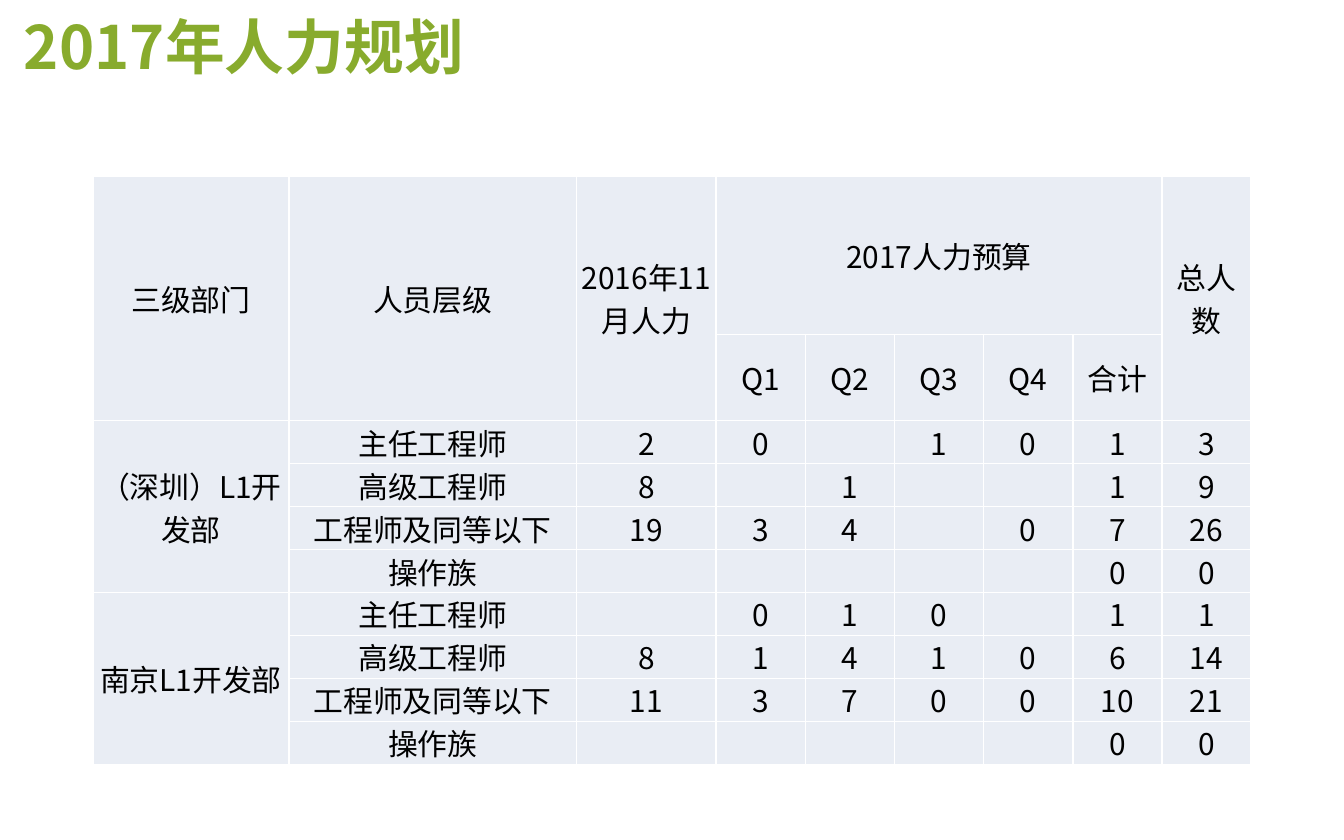
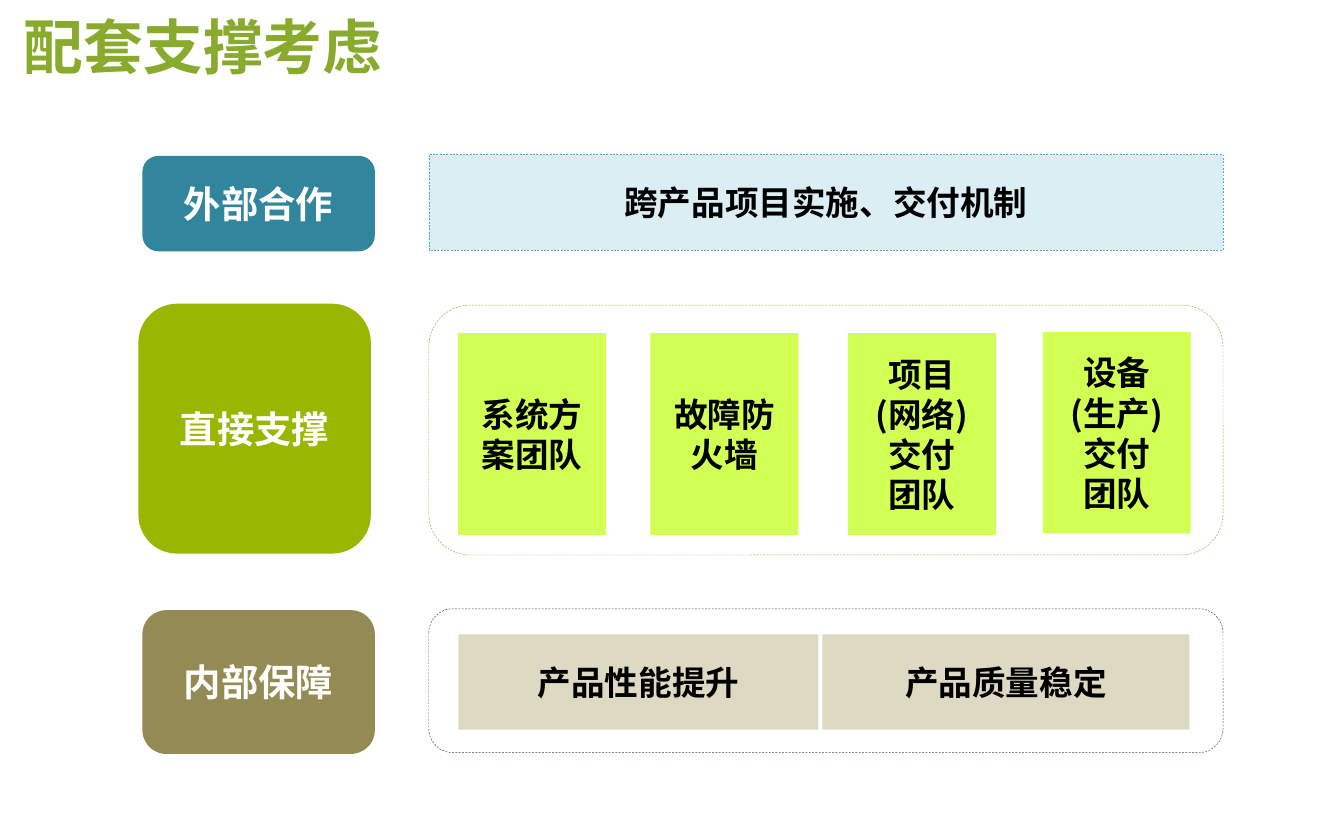
from lxml import etree
from pptx import Presentation
from pptx.dml.color import RGBColor
from pptx.enum.dml import MSO_LINE
from pptx.enum.shapes import MSO_SHAPE
from pptx.enum.text import MSO_ANCHOR, PP_ALIGN
from pptx.oxml.ns import qn
from pptx.util import Inches, Pt

RECT, ROUNDED = MSO_SHAPE.RECTANGLE, MSO_SHAPE.ROUNDED_RECTANGLE
MIDDLE, CENTER, DASH = MSO_ANCHOR.MIDDLE, PP_ALIGN.CENTER, MSO_LINE.DASH

FONT = "Noto Sans CJK SC"
BLACK = RGBColor(0x00, 0x00, 0x00)
WHITE = RGBColor(0xFF, 0xFF, 0xFF)
TITLE_GREEN = RGBColor(0x88, 0xAB, 0x2D)
CELL_FILL = RGBColor(0xE9, 0xED, 0xF4)
TEAL = RGBColor(0x31, 0x85, 0x9C)
TEAL_PALE = RGBColor(0xDB, 0xEE, 0xF4)
TEAL_LINE = RGBColor(0x4B, 0xAC, 0xC6)
GREEN = RGBColor(0x99, 0xB7, 0x01)
LIME = RGBColor(0xD2, 0xFF, 0x53)
OLIVE = RGBColor(0x94, 0x8A, 0x54)
SAND = RGBColor(0xDD, 0xD9, 0xC3)
OLIVE_LINE = RGBColor(0x4A, 0x45, 0x2A)

NUMBER_COLUMNS_WIDTH = 3.98
COLUMN_WIDTHS = [1.46, 2.14, 1.04] + [NUMBER_COLUMNS_WIDTH / 6] * 6
ROW_HEIGHTS = [1.18, 0.64] + [0.32] * 8
HEADCOUNT = [
    ["三级部门", "人员层级", "2016年11月人力", "2017人力预算", "", "", "", "", "总人数"],
    ["", "", "", "Q1", "Q2", "Q3", "Q4", "合计", ""],
    ["（深圳）L1开发部", "主任工程师", "2", "0", "", "1", "0", "1", "3"],
    ["", "高级工程师", "8", "", "1", "", "", "1", "9"],
    ["", "工程师及同等以下", "19", "3", "4", "", "0", "7", "26"],
    ["", "操作族", "", "", "", "", "", "0", "0"],
    ["南京L1开发部", "主任工程师", "", "0", "1", "0", "", "1", "1"],
    ["", "高级工程师", "8", "1", "4", "1", "0", "6", "14"],
    ["", "工程师及同等以下", "11", "3", "7", "0", "0", "10", "21"],
    ["", "操作族", "", "", "", "", "", "0", "0"],
]
# First and last cell of each merged block, as (row, column)
MERGES = [((0, col), (1, col)) for col in (0, 1, 2, 8)]
MERGES += [((0, 3), (0, 7)), ((2, 0), (5, 0)), ((6, 0), (9, 0))]

# Offset from the left and top of the region, then the team
TEAMS = [
    (2.35, 0.22, "系统方案团队"),
    (3.78, 0.22, "故障防火墙"),
    (5.25, 0.22, "项目\n(网络)\n交付\n团队"),
    (6.7, 0.21, "设备\n(生产)\n交付\n团队"),
]


def write(frame, text, size, color, bold=True, align=CENTER):
    frame.text = text
    frame.word_wrap = True
    frame.vertical_anchor = MIDDLE
    for paragraph in frame.paragraphs:
        paragraph.alignment = align
        for run in paragraph.runs:
            font = run.font
            font.size, font.bold, font.name = Pt(size), bold, FONT
            font.color.rgb = color
            etree.SubElement(run._r.get_or_add_rPr(), qn("a:ea"), typeface=FONT)


def add_title(slide, text):
    title = slide.shapes.add_textbox(Inches(0.08), Inches(0.08), Inches(6.5), Inches(0.52))
    write(title.text_frame, text, 32, TITLE_GREEN, align=PP_ALIGN.LEFT)


def add_block(slide, kind, box, text="", fill=None, line=None, size=18, color=BLACK):
    """Add a shape in box (left, top, width, height); line gives a thin dashed edge."""
    block = slide.shapes.add_shape(kind, *map(Inches, box))
    block.shadow.inherit = False
    if fill is None:
        block.fill.background()
    else:
        block.fill.solid()
        block.fill.fore_color.rgb = fill
    if line is None:
        block.line.fill.background()
    else:
        block.line.color.rgb = line
        block.line.width = Pt(0.25)
        block.line.dash_style = DASH
    if text:
        write(block.text_frame, text, size, color)


def add_category(slide, box, text, fill):
    add_block(slide, ROUNDED, box, text, fill, size=20, color=WHITE)


def style_cell(cell, text):
    cell.margin_left = cell.margin_right = cell.margin_top = cell.margin_bottom = 0
    write(cell.text_frame, text, 16, BLACK, bold=False)
    cell.vertical_anchor = MIDDLE
    if not text:
        # An empty cell keeps the text size of the others, so its row does not grow
        etree.SubElement(cell.text_frame.paragraphs[0]._p, qn("a:endParaRPr"), sz="1600")
    properties = cell._tc.get_or_add_tcPr()
    for side in ("a:lnL", "a:lnR", "a:lnT", "a:lnB"):
        border = etree.SubElement(properties, qn(side), w=str(Pt(1)))
        paint = etree.SubElement(border, qn("a:solidFill"))
        etree.SubElement(paint, qn("a:srgbClr"), val=str(WHITE))
    cell.fill.solid()
    cell.fill.fore_color.rgb = CELL_FILL


def add_headcount_table(slide, left, top):
    table = slide.shapes.add_table(
        len(ROW_HEIGHTS), len(COLUMN_WIDTHS), Inches(left), Inches(top),
        Inches(sum(COLUMN_WIDTHS)), Inches(sum(ROW_HEIGHTS))).table
    table.first_row = table.horz_banding = False
    for column, width in zip(table.columns, COLUMN_WIDTHS):
        column.width = Inches(width)
    for row, height, texts in zip(table.rows, ROW_HEIGHTS, HEADCOUNT):
        row.height = Inches(height)
        for cell, text in zip(row.cells, texts):
            style_cell(cell, text)
    for first, last in MERGES:
        table.cell(*first).merge(table.cell(*last))


def add_cooperation(slide, left, top, width, height):
    add_category(slide, (left, top + 0.01, 1.73, height), "外部合作", TEAL)
    add_block(slide, RECT, (left + 2.13, top, width - 2.13, height),
              "跨产品项目实施、交付机制", TEAL_PALE, TEAL_LINE)


def add_direct_support(slide, left, top, width, height):
    add_category(slide, (left - 0.03, top, 1.73, height), "直接支撑", GREEN)
    add_block(slide, ROUNDED, (left + 2.13, top + 0.01, width - 2.13, height), line=TITLE_GREEN)
    for across, down, team in TEAMS:
        add_block(slide, RECT, (left + across, top + down, 1.1, 1.5), team, LIME)


def add_internal_assurance(slide, left, top, width, height):
    add_category(slide, (left, top + 0.01, 1.73, height), "内部保障", OLIVE)
    add_block(slide, ROUNDED, (left + 2.13, top, width - 2.13, height), line=OLIVE_LINE)
    for across, goal_width, goal in ((2.35, 2.68, "产品性能提升"), (5.06, 2.73, "产品质量稳定")):
        add_block(slide, RECT, (left + across, top + 0.19, goal_width, 0.71), goal, SAND)


def main():
    deck = Presentation()
    deck.slide_width, deck.slide_height = Inches(10), Inches(6.25)
    blank = deck.slide_layouts[6]

    staffing = deck.slides.add_slide(blank)
    add_title(staffing, "2017年人力规划")
    add_headcount_table(staffing, 0.69, 1.31)

    support = deck.slides.add_slide(blank)
    add_title(support, "配套支撑考虑")
    add_cooperation(support, 1.06, 1.15, 8.04, 0.71)
    add_direct_support(support, 1.06, 2.26, 8.04, 1.86)
    add_internal_assurance(support, 1.06, 4.53, 8.04, 1.07)

    deck.save("out.pptx")


if __name__ == "__main__":
    main()
